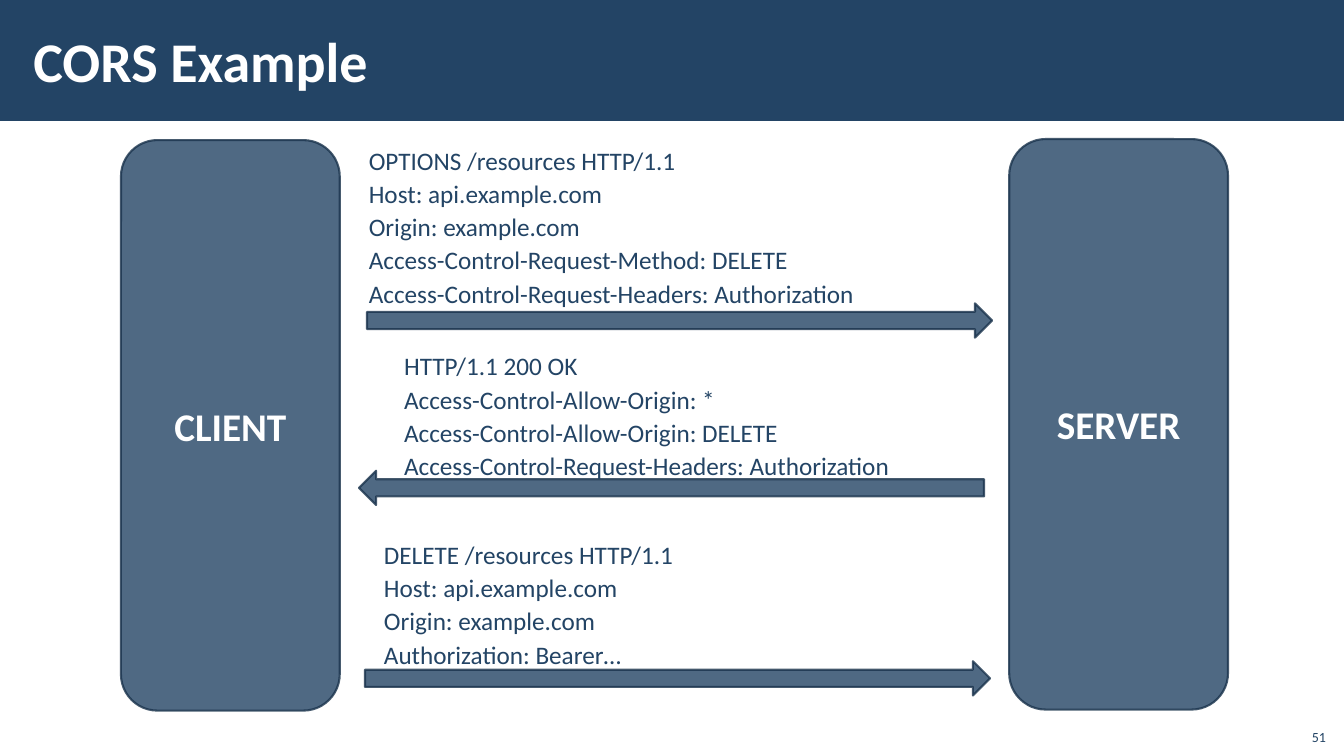
from lxml import etree
from pptx import Presentation, util as u
from pptx.dml.color import RGBColor
from pptx.enum import shapes, text
from pptx.oxml.ns import qn

PX = 9144  # 100 px to the inch
HEX = {"navy": "234465", "edge": "1A334C", "white": "FFFFFF"}
FONT = "Calibri"
KIND = shapes.MSO_SHAPE
ALIGN = text.PP_ALIGN
ANCHOR = text.MSO_ANCHOR

PEERS = [("CLIENT", (120, 139, 217, 566)), ("SERVER", (1001, 138, 217, 566))]

# Text box, paragraphs (\v breaks a line), arrow box, arrow turn
CALLS = [
    ((356, 136, 667, 177),
     ["OPTIONS /resources HTTP/1.1\vHost: api.example.com\vOrigin: example.com\v"
      "Access-Control-Request-Method: DELETE",
      "Access-Control-Request-Headers: Authorization"],
     (364, 301, 620, 34), 0),
    ((391, 340, 667, 143),
     ["HTTP/1.1 200 OK\vAccess-Control-Allow-Origin: *\v"
      "Access-Control-Allow-Origin: DELETE",
      "Access-Control-Request-Headers: Authorization"],
     (356, 467, 620, 34), 180),
    ((371, 527, 667, 143),
     ["DELETE /resources HTTP/1.1\vHost: api.example.com\vOrigin: example.com\v"
      "Authorization: Bearer…"],
     (362, 656, 620, 34), 0),
]


def emu(box):
    return [n * PX for n in box]


def tint(name):
    return RGBColor.from_string(HEX[name])


def style(item, form):
    for key, val in form.items():
        setattr(item, key, val)


def write(shape, paras, size, color, bold=False, frame=None, para=None):
    body = shape.text_frame
    style(body, {"word_wrap": True, **(frame or {})})
    for i, words in enumerate(paras):
        p = body.add_paragraph() if i else body.paragraphs[0]
        p.text = words
        style(p, para or {})
        for run in p.runs:
            style(run.font, {"name": FONT, "size": u.Pt(size), "bold": bold})
            run.font.color.rgb = tint(color)


def solid(slide, kind, box):
    """Add a plain navy shape without line or shadow."""
    shape = slide.shapes.add_shape(kind, *emu(box))
    shape.shadow.inherit = False
    shape.fill.solid()
    shape.fill.fore_color.rgb = tint("navy")
    shape.line.fill.background()
    return shape


def glass(slide, kind, box):
    """Add a navy shape with an edge, both at 80 % opacity."""
    shape = solid(slide, kind, box)
    shape.line.color.rgb = tint("edge")
    shape.line.width = u.Pt(1.5)
    for clr in shape._element.spPr.iter(qn("a:srgbClr")):
        etree.SubElement(clr, qn("a:alpha"), val="80000")
    return shape


def header(slide, box, words):
    x, y, w, h = box
    band = solid(slide, KIND.RECTANGLE, box)
    slide.shapes._spTree.insert(2, band._element)  # behind the title
    title = slide.shapes.title
    spot = emu((x + 21, y + 11, 1063, h - 23))
    style(title, dict(zip(("left", "top", "width", "height"), spot)))
    write(title, [words], 40, "white", True,
          {"vertical_anchor": ANCHOR.MIDDLE, "auto_size": text.MSO_AUTO_SIZE.NONE,
           "margin_left": 12 * PX, "margin_right": 12 * PX,
           "margin_top": 4 * PX, "margin_bottom": 4 * PX},
          {"alignment": ALIGN.LEFT})


def peer(slide, box, name):
    shape = glass(slide, KIND.ROUNDED_RECTANGLE, box)
    write(shape, [name], 28, "white", True,
          {"vertical_anchor": ANCHOR.MIDDLE}, {"alignment": ALIGN.CENTER})


def arrow(slide, box, turn):
    glass(slide, KIND.RIGHT_ARROW, box).rotation = turn


def message(slide, box, paras):
    note = slide.shapes.add_textbox(*emu(box))
    write(note, paras, 18, "navy",
          frame={"auto_size": text.MSO_AUTO_SIZE.SHAPE_TO_FIT_TEXT},
          para={"line_spacing": 1.1})


def number(slide, box, words):
    note = slide.shapes.add_textbox(*emu(box))
    write(note, [words], 10, "navy", frame={"vertical_anchor": ANCHOR.BOTTOM},
          para={"alignment": ALIGN.RIGHT})


def main():
    deck = Presentation()
    style(deck, {"slide_width": 1333 * PX, "slide_height": 750 * PX})
    slide = deck.slides.add_slide(deck.slide_layouts[5])

    # Title band and page number
    header(slide, (0, 0, 1334, 120), "CORS Example")
    number(slide, (1285, 712, 40, 32), "51")

    # The two sides, then the arrows, then the words above them
    for name, box in PEERS:
        peer(slide, box, name)
    for _, _, box, turn in CALLS:
        arrow(slide, box, turn)
    for box, paras, _, _ in CALLS:
        message(slide, box, paras)

    deck.save("out.pptx")


if __name__ == "__main__":
    main()
